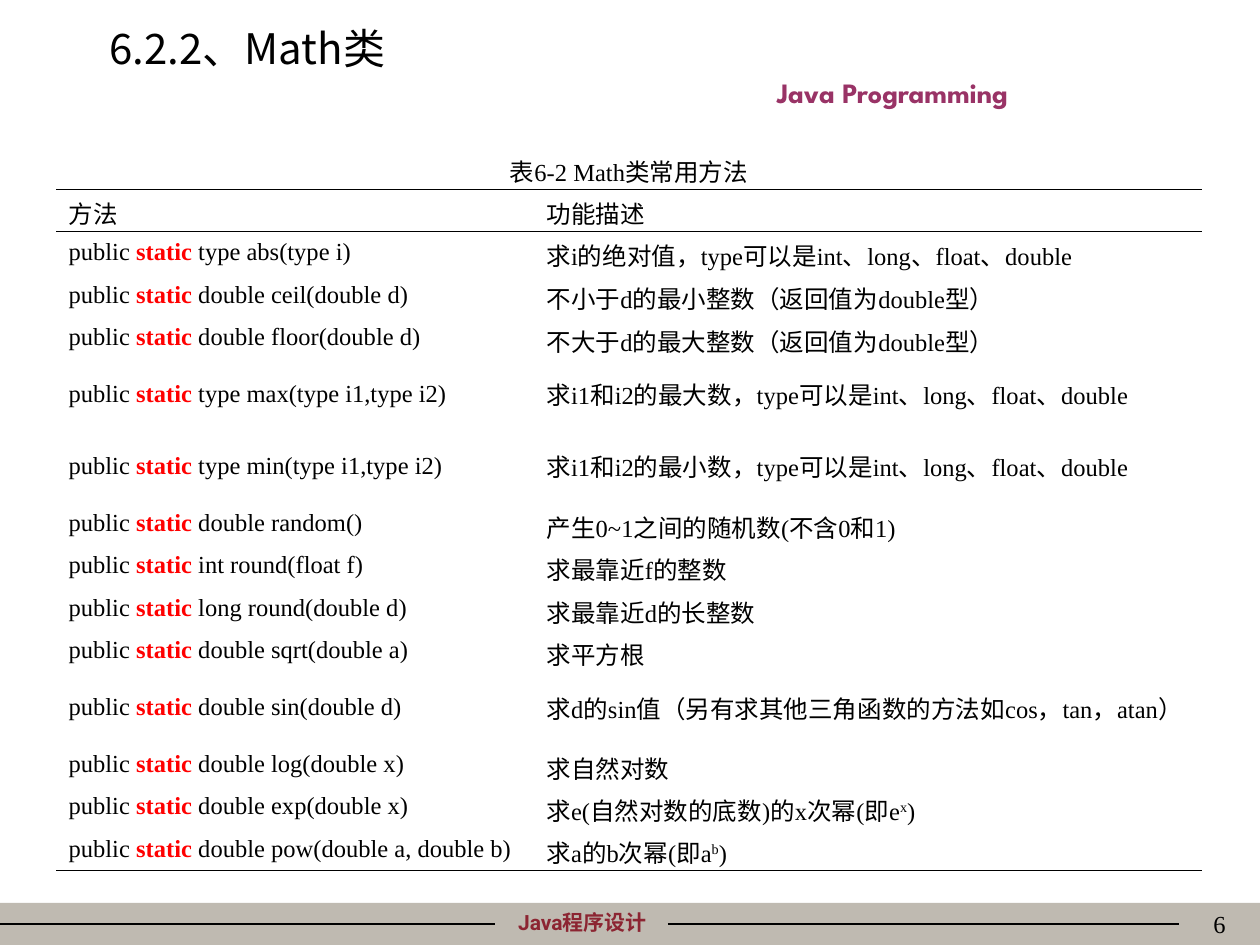
from lxml.etree import SubElement
from pptx import Presentation
from pptx.dml.color import RGBColor
from pptx.enum.shapes import MSO_CONNECTOR, MSO_SHAPE
from pptx.enum.text import MSO_ANCHOR, PP_ALIGN
from pptx.oxml.ns import qn
from pptx.util import Emu, Pt

PX = 914400 / 126
BLACK = "000000"
RED = "FF0000"
SERIF = "Times New Roman"
LEFT, CENTER, RIGHT = PP_ALIGN.LEFT, PP_ALIGN.CENTER, PP_ALIGN.RIGHT

CAPTION = "表6-2 Math类常用方法"
HEADINGS = ("方法", "功能描述")
METHODS = [
    ("type abs(type i)", "求i的绝对值，type可以是int、long、float、double"),
    ("double ceil(double d)", "不小于d的最小整数（返回值为double型）"),
    ("double floor(double d)", "不大于d的最大整数（返回值为double型）"),
    ("type max(type i1,type i2)", "求i1和i2的最大数，type可以是int、long、float、double"),
    ("type min(type i1,type i2)", "求i1和i2的最小数，type可以是int、long、float、double"),
    ("double random()", "产生0~1之间的随机数(不含0和1)"),
    ("int round(float f)", "求最靠近f的整数"),
    ("long round(double d)", "求最靠近d的长整数"),
    ("double sqrt(double a)", "求平方根"),
    ("double sin(double d)", "求d的sin值（另有求其他三角函数的方法如cos，tan，atan）"),
    ("double log(double x)", "求自然对数"),
    ("double exp(double x)", "求e(自然对数的底数)的x次幂(即e^x^)"),
    ("double pow(double a, double b)", "求a的b次幂(即a^b^)"),
]
TALL_ROWS = (5, 6, 11)


def px(length):
    return Emu(round(length * PX))


def color(code):
    return RGBColor.from_string(code)


class SlideBuilder:
    def __init__(self, deck):
        self.page = deck.slides.add_slide(deck.slide_layouts[6])

    def style(self, paragraph, size, font=SERIF, ink=BLACK, bold=False, align=LEFT):
        paragraph.alignment = align
        paragraph.font.size = Pt(size)
        paragraph.font.name = font
        paragraph.font.bold = bold
        paragraph.font.color.rgb = color(ink)

    def text(self, words, left, top, width, height, size, **look):
        box = self.page.shapes.add_textbox(px(left), px(top), px(width), px(height))
        box.text_frame.word_wrap = True
        paragraph = box.text_frame.paragraphs[0]
        paragraph.add_run().text = words
        self.style(paragraph, size, **look)

    def band(self, left, top, width, height, fill):
        shape = self.page.shapes.add_shape(
            MSO_SHAPE.RECTANGLE, px(left), px(top), px(width), px(height))
        shape.shadow.inherit = False
        shape.fill.solid()
        shape.fill.fore_color.rgb = color(fill)
        shape.line.fill.background()

    def rule(self, start, end, y):
        line = self.page.shapes.add_connector(
            MSO_CONNECTOR.STRAIGHT, px(start), px(y), px(end), px(y))
        line.line.color.rgb = color(BLACK)
        line.line.width = Pt(0.75)
        SubElement(line._element.spPr, qn("a:effectLst"))

    def table(self, left, top, widths, heights):
        frame = self.page.shapes.add_table(
            len(heights), len(widths), px(left), px(top), px(sum(widths)), px(sum(heights)))
        grid = frame.table
        grid.first_row = False
        grid.horz_banding = False
        for column, width in zip(grid.columns, widths):
            column.width = px(width)
        for row, height in zip(grid.rows, heights):
            row.height = px(height)
        return grid

    def borders(self, cell, ruled):
        properties = cell._tc.get_or_add_tcPr()
        for side in "LRTB":
            edge = SubElement(properties, qn(f"a:ln{side}"))
            if side in ruled:
                edge.set("w", str(Pt(0.45)))
                fill = SubElement(edge, qn("a:solidFill"))
                SubElement(fill, qn("a:srgbClr")).set("val", BLACK)
            else:
                SubElement(edge, qn("a:noFill"))

    def cell(self, cell, ruled, words, align=LEFT):
        self.borders(cell, ruled)
        cell.fill.background()
        cell.vertical_anchor = MSO_ANCHOR.MIDDLE
        paragraph = cell.text_frame.paragraphs[0]
        for index, part in enumerate(words.split("^")):
            span = paragraph.add_run()
            span.text = part
            if index % 2:
                span.font._element.set("baseline", "30000")
        self.style(paragraph, 14, align=align)
        return paragraph

    def signature(self, cell, ruled, words):
        paragraph = self.cell(cell, ruled, "public ")
        keyword = paragraph.add_run()
        keyword.text = "static"
        keyword.font.bold = True
        keyword.font.color.rgb = color(RED)
        paragraph.add_run().text = f" {words}"


def main():
    deck = Presentation()
    deck.slide_width, deck.slide_height = px(1260), px(945)
    builder = SlideBuilder(deck)

    builder.band(0, 903, 1260, 42, "BFBAB1")
    builder.text("Java程序设计", 456, 903, 253, 38, 12,
                 font="Roboto", ink="8C2532", bold=True, align=CENTER)
    builder.rule(0, 495, 924)
    builder.rule(668, 1179, 924)
    builder.text("Java Programming", 640, 69, 505, 47, 16,
                 font="League Spartan", ink="993366", bold=True, align=CENTER)
    builder.text("6", 976, 903, 262, 42, 14, align=RIGHT)
    builder.text("6.2.2、Math类", 97, 16, 1071, 63, 24, font="Noto Sans CJK SC")

    count = len(METHODS) + 2
    heights = [72 if row in TALL_ROWS else 42 + (row % 3 == 2) for row in range(count)]
    grid = builder.table(56, 147, (478, 668), heights)
    builder.cell(grid.cell(0, 0), "B", CAPTION, CENTER)
    builder.borders(grid.cell(0, 1), "B")
    grid.cell(0, 1).fill.background()
    grid.cell(0, 0).merge(grid.cell(0, 1))
    for column, heading in enumerate(HEADINGS):
        builder.cell(grid.cell(1, column), "TB", heading)
    for row, (method, description) in enumerate(METHODS, 2):
        ruled = {2: "T", count - 1: "B"}.get(row, "")
        builder.signature(grid.cell(row, 0), ruled, method)
        builder.cell(grid.cell(row, 1), ruled, description)

    deck.save("out.pptx")


if __name__ == "__main__":
    main()
